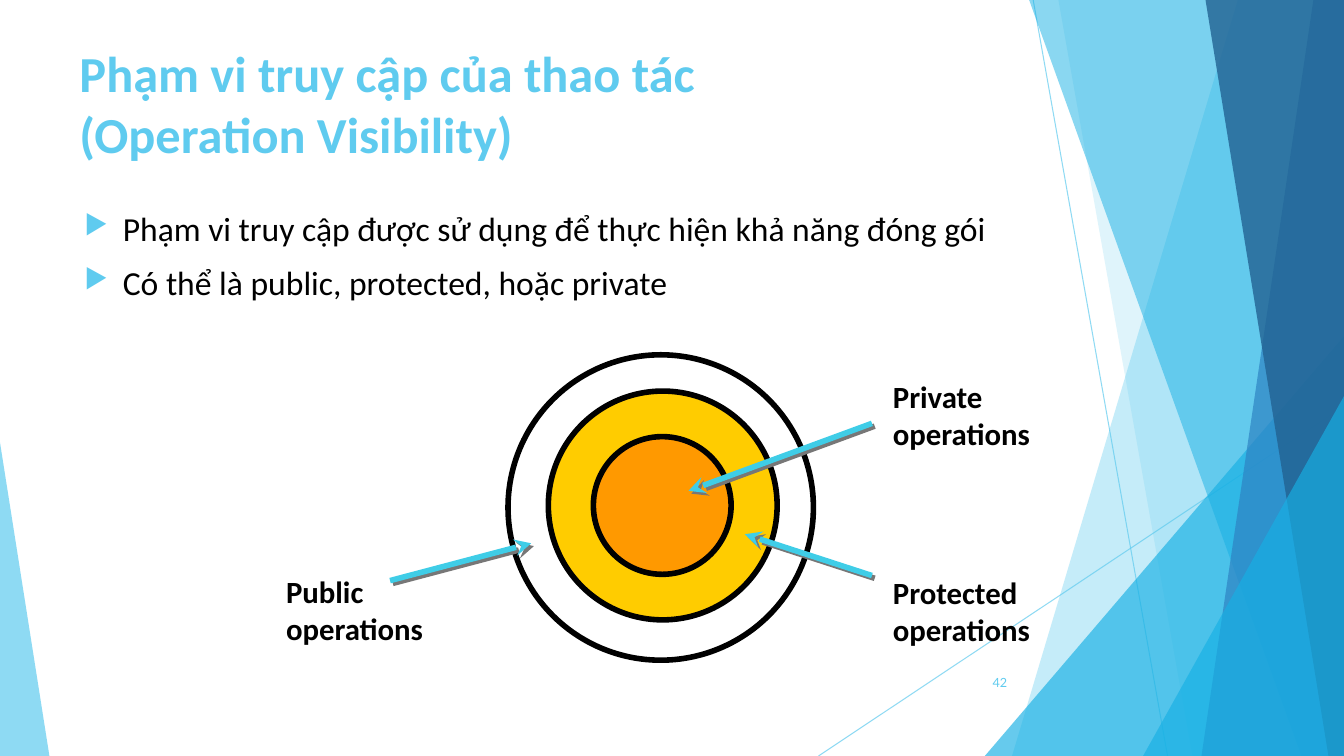
from dataclasses import dataclass

from lxml.etree import SubElement
from pptx import Presentation
from pptx.dml.color import RGBColor
from pptx.enum.shapes import MSO_CONNECTOR, MSO_SHAPE
from pptx.enum.text import MSO_ANCHOR, PP_ALIGN
from pptx.oxml.ns import qn
from pptx.util import Inches, Pt

COLUMNS, ROWS = 160, 90
CELL = Inches(1) // 12

SKY = RGBColor(0x5F, 0xCB, 0xEF)
AZURE = RGBColor(0x17, 0xB0, 0xE4)
BLUE = RGBColor(0x2E, 0x83, 0xC3)
NAVY = RGBColor(0x22, 0x62, 0x92)
CYAN = RGBColor(0x3F, 0xCD, 0xE7)
GREY = RGBColor(0x77, 0x77, 0x77)
BLACK = RGBColor(0, 0, 0)
WHITE = RGBColor(0xFF, 0xFF, 0xFF)
YELLOW = RGBColor(0xFF, 0xCC, 0)
ORANGE = RGBColor(0xFF, 0x99, 0)


@dataclass(frozen=True)
class Area:
    column: float
    row: float
    columns: float
    rows: float

    def emu(self) -> list[int]:
        return [cells(n) for n in (self.column, self.row, self.columns, self.rows)]


@dataclass(frozen=True)
class Band:
    top: float
    bottom: float
    color: RGBColor
    opacity: int


@dataclass(frozen=True)
class Wedge:
    left: float
    top: float
    right: float
    apex: float
    color: RGBColor
    opacity: int


@dataclass(frozen=True)
class Ring:
    column: float
    row: float
    diameter: float
    color: RGBColor


@dataclass(frozen=True)
class Stroke:
    start: tuple[float, float]
    end: tuple[float, float]


@dataclass(frozen=True)
class Callout:
    lines: tuple[str, ...]
    area: Area
    arrow: Stroke
    wrap: bool = True


RAYS = [Stroke((123, 0), (139, 90)), Stroke((160, 48.36), (97.44, 90))]

FACETS = [
    Band(147.36, 120.48, SKY, 36),
    Band(126, 141.96, SKY, 20),
    Wedge(117.24, 40, COLUMNS, 1, AZURE, 66),
    Band(122.52, 154.92, AZURE, 50),
    Band(156.36, 143.04, BLUE, 70),
    Band(143.52, 158.16, NAVY, 80),
    Wedge(136.08, 47.16, COLUMNS, 1, AZURE, 66),
    Wedge(0, 52.68, 5.88, 0, SKY, 70),
]

RINGS = [
    Ring(78.66, 60.42, 36.36, WHITE),
    Ring(78.9, 60.18, 27.24, YELLOW),
    Ring(78.84, 60.18, 16.4, ORANGE),
]

CALLOUTS = [
    Callout(("Public operations",), Area(32.88, 67.56, 19.92, 10.08),
            Stroke((46.44, 69.12), (63.24, 64.68))),
    Callout(("Protected", "operations"), Area(105.12, 67.68, 18.96, 10.08),
            Stroke((103.8, 68.52), (88.68, 63.6))),
    Callout(("Private", "operations"), Area(105.12, 44.4, 18.96, 10.08),
            Stroke((103.8, 50.4), (81.96, 58.44)), wrap=False),
]


def cells(count: float) -> int:
    return round(count * CELL)


def set_opacity(shape, percent: int) -> None:
    for color in shape._element.iter(qn("a:srgbClr")):
        SubElement(color, qn("a:alpha"), val=str(percent * 1000))


def draw_facet(slide, facet: Band | Wedge) -> None:
    if isinstance(facet, Band):
        builder = slide.shapes.build_freeform(cells(facet.top), 0)
        corners = [(COLUMNS, 0), (COLUMNS, ROWS), (facet.bottom, ROWS)]
        builder.add_line_segments([(cells(x), cells(y)) for x, y in corners])
        shape = builder.convert_to_shape()
    else:
        area = Area(facet.left, facet.top, facet.right - facet.left, ROWS - facet.top)
        shape = slide.shapes.add_shape(MSO_SHAPE.ISOSCELES_TRIANGLE, *area.emu())
        shape.adjustments[0] = facet.apex
    shape.shadow.inherit = False
    shape.fill.solid()
    shape.fill.fore_color.rgb = facet.color
    shape.line.fill.background()
    set_opacity(shape, facet.opacity)


def draw_ring(slide, ring: Ring) -> None:
    radius = ring.diameter / 2
    area = Area(ring.column - radius, ring.row - radius, ring.diameter, ring.diameter)
    circle = slide.shapes.add_shape(MSO_SHAPE.OVAL, *area.emu())
    circle.shadow.inherit = False
    circle.fill.solid()
    circle.fill.fore_color.rgb = ring.color
    circle.line.color.rgb = BLACK
    circle.line.width = Pt(4)


def draw_stroke(slide, stroke: Stroke, color: RGBColor, width: float):
    ends = [cells(n) for n in (*stroke.start, *stroke.end)]
    line = slide.shapes.add_connector(MSO_CONNECTOR.STRAIGHT, *ends)
    line.line.color.rgb = color
    line.line.width = Pt(width)
    effects = SubElement(line._element.spPr, qn("a:effectLst"))
    return line, effects


def draw_arrow(slide, stroke: Stroke) -> None:
    arrow, effects = draw_stroke(slide, stroke, CYAN, 4)
    SubElement(arrow.line._get_or_add_ln(), qn("a:tailEnd"), type="stealth")
    shadow = SubElement(effects, qn("a:outerShdw"), dist=str(Pt(2.8)),
                        dir=str(45 * 60000), algn="ctr", rotWithShape="0")
    SubElement(shadow, qn("a:srgbClr"), val=str(GREY))


def add_bullet(paragraph) -> None:
    indent = Inches(0.38)
    properties = paragraph._p.get_or_add_pPr()
    properties.set("marL", str(indent))
    properties.set("indent", str(-indent))
    bullet_color = SubElement(properties, qn("a:buClr"))
    SubElement(bullet_color, qn("a:srgbClr"), val=str(SKY))
    SubElement(properties, qn("a:buSzPct"), val="80000")
    SubElement(properties, qn("a:buChar"), char="▶")


def write(slide, lines: tuple[str, ...], area: Area, *, size: float,
          color: RGBColor = BLACK, font: str = "Calibri", bold: bool = False,
          bullets: bool = False, gap: float = 0, wrap: bool = True,
          align: PP_ALIGN = PP_ALIGN.LEFT, anchor: MSO_ANCHOR = MSO_ANCHOR.TOP) -> None:
    frame = slide.shapes.add_textbox(*area.emu()).text_frame
    frame.word_wrap = wrap
    frame.vertical_anchor = anchor
    for index, line in enumerate(lines):
        paragraph = frame.add_paragraph() if index else frame.paragraphs[0]
        paragraph.text = line
        paragraph.alignment = align
        paragraph.space_before = Pt(gap if index else 0)
        if bullets:
            add_bullet(paragraph)
        paragraph.font.name = font
        paragraph.font.size = Pt(size)
        paragraph.font.bold = bold
        paragraph.font.color.rgb = color


def main() -> None:
    deck = Presentation()
    deck.slide_width, deck.slide_height = cells(COLUMNS), cells(ROWS)
    slide = deck.slides.add_slide(deck.slide_layouts[6])
    for stroke in RAYS:
        ray, _ = draw_stroke(slide, stroke, SKY, 0.75)
        set_opacity(ray, 70)
    for facet in FACETS:
        draw_facet(slide, facet)
    write(slide, ("Phạm vi truy cập của thao tác \v(Operation Visibility)",),
          Area(8.28, 4.44, 132.6, 17.28), size=36, color=SKY, bold=True)
    write(slide, ("Phạm vi truy cập được sử dụng để thực hiện khả năng đóng gói",
                  "Có thể là public, protected, hoặc private"),
          Area(8.88, 24.12, 112.8, 50.88), size=24, bullets=True, gap=10)
    write(slide, ("42",), Area(112.08, 78.84, 9, 4.8), size=9, color=SKY, font="Lato",
          align=PP_ALIGN.RIGHT, anchor=MSO_ANCHOR.MIDDLE)
    for ring in RINGS:
        draw_ring(slide, ring)
    for callout in CALLOUTS:
        write(slide, callout.lines, callout.area, size=22, bold=True, wrap=callout.wrap)
        draw_arrow(slide, callout.arrow)
    deck.save("out.pptx")


if __name__ == "__main__":
    main()
